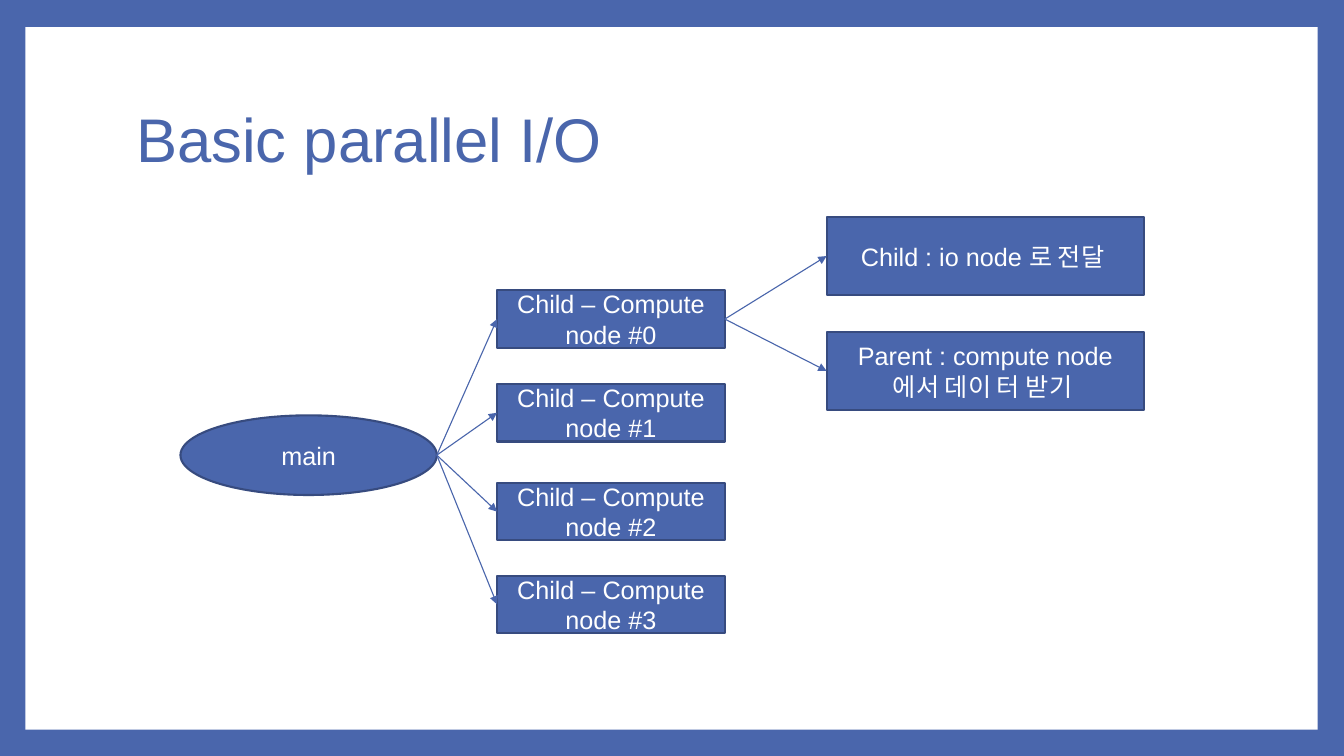
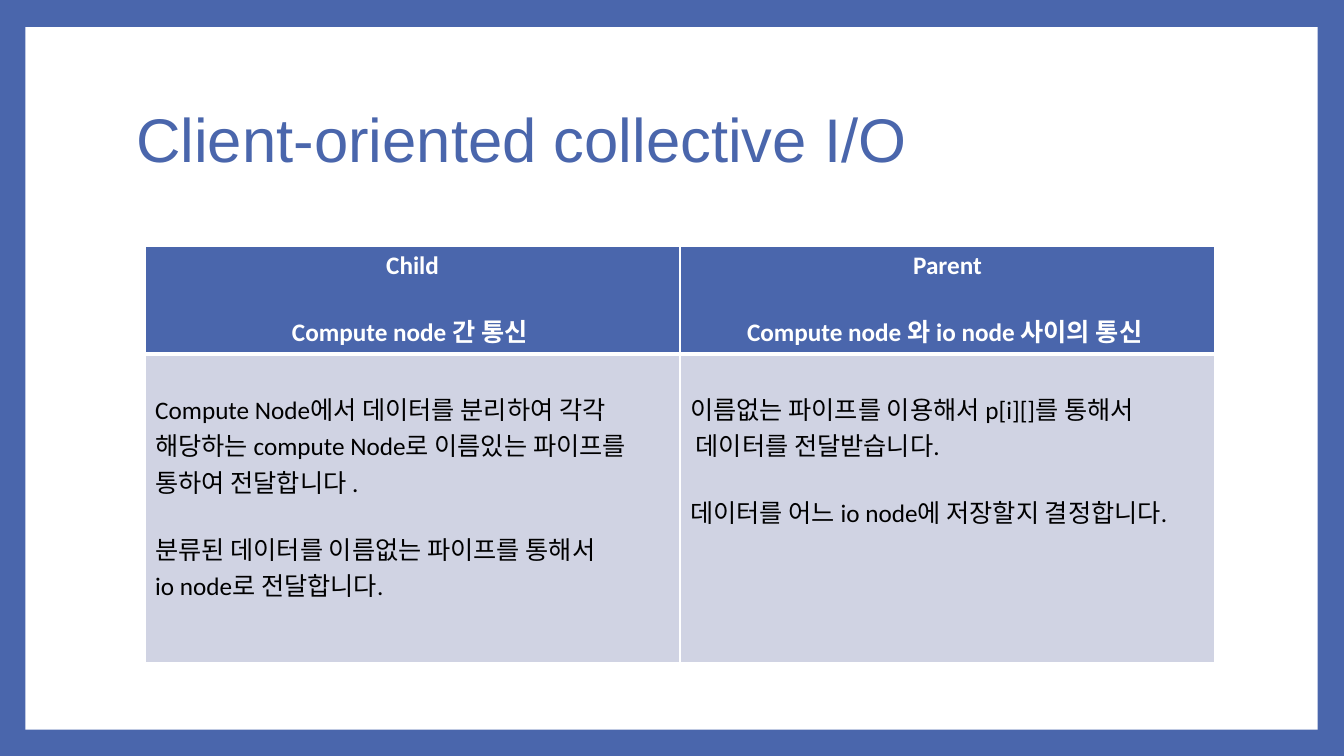
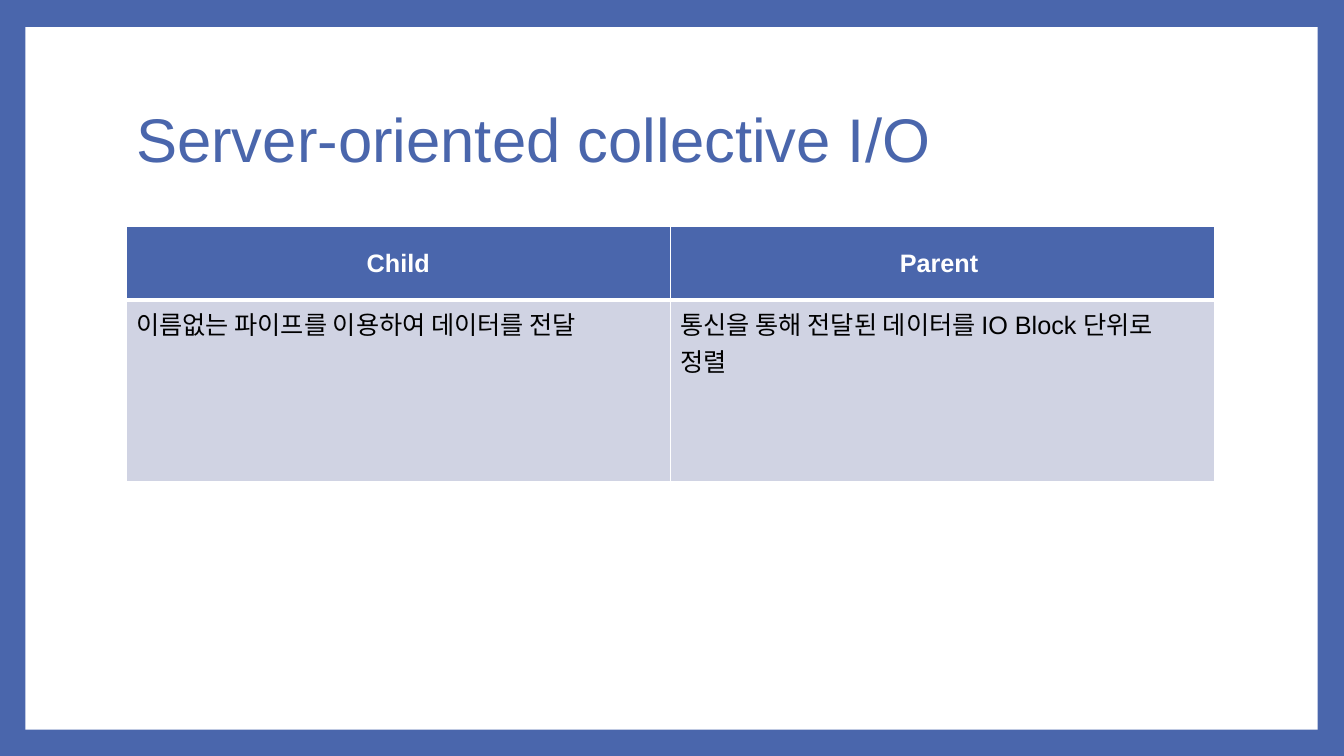
from dataclasses import dataclass

from lxml.etree import SubElement
from pptx import Presentation
from pptx.dml.color import RGBColor
from pptx.enum.shapes import MSO_CONNECTOR as Link, MSO_SHAPE as Shape
from pptx.enum.text import MSO_ANCHOR as Anchor, MSO_AUTO_SIZE as AutoSize, PP_ALIGN as Align
from pptx.oxml import parse_xml
from pptx.oxml.ns import nsdecls, qn
from pptx.util import Inches, Pt

BLUE = RGBColor(0x4A, 0x66, 0xAC)
NAVY = RGBColor(0x37, 0x4B, 0x7F)
PALE = RGBColor(0xD0, 0xD3, 0xE3)
WHITE = RGBColor(0xFF, 0xFF, 0xFF)
BLACK = RGBColor(0, 0, 0)

BLANK_LINE = Pt(22)
TITLE_FONT = dict(name="Arial", size=Pt(44), bold=False)
BODY_FONT = dict(name="Arial", size=Pt(18), bold=False)


@dataclass
class Box:
    left: int
    top: int
    width: int
    height: int

    def inner(self, x, y, w, h):
        """A box inside this one, given in percent of its size."""
        return Box(int(self.left + self.width * x / 100),
                   int(self.top + self.height * y / 100),
                   int(self.width * w / 100), int(self.height * h / 100))

    @property
    def bounds(self):
        return self.left, self.top, self.width, self.height

    @property
    def left_middle(self):
        return self.left, self.top + self.height // 2

    @property
    def right_middle(self):
        return self.left + self.width, self.top + self.height // 2


SLIDE = Box(0, 0, Inches(13.33), Inches(7.5))
PANEL = SLIDE.inner(1.88, 3.6, 96.15, 92.93)
TITLE = SLIDE.inner(9.38, 8.93, 81, 19.73)


def apply(target, values):
    for name, value in values.items():
        setattr(target, name, value)


def write(para, text, color, **changes):
    span = para.add_run()
    span.text = text
    apply(span.font, BODY_FONT | changes)
    span.font.color.rgb = color


def add_panel(page):
    panel = page.shapes.add_shape(Shape.RECTANGLE, *PANEL.bounds)
    panel.shadow.inherit = False
    panel.fill.solid()
    panel.fill.fore_color.rgb = WHITE
    panel.line.fill.background()
    page.shapes.element.insert(2, panel.element)  # behind the title


def add_page(deck, heading):
    page = deck.slides.add_slide(deck.slide_layouts[5])
    add_panel(page)
    title = page.shapes.title
    apply(title, dict(zip(("left", "top", "width", "height"), TITLE.bounds)))
    apply(title.text_frame, dict(vertical_anchor=Anchor.MIDDLE, word_wrap=True,
                                 auto_size=AutoSize.NONE))
    para = title.text_frame.paragraphs[0]
    apply(para, dict(alignment=Align.LEFT, line_spacing=0.9))
    write(para, heading, BLUE, **TITLE_FONT)
    return page


# Process diagram
def add_node(page, box, text, kind=Shape.RECTANGLE):
    node = page.shapes.add_shape(kind, *box.bounds)
    node.shadow.inherit = False
    node.fill.solid()
    node.fill.fore_color.rgb = BLUE
    node.line.color.rgb = NAVY
    node.line.width = Pt(1.5)
    apply(node.text_frame, dict(word_wrap=True, vertical_anchor=Anchor.MIDDLE))
    para = node.text_frame.paragraphs[0]
    para.alignment = Align.CENTER
    write(para, text, WHITE)


def add_arrow(page, source, target):
    arrow = page.shapes.add_connector(Link.STRAIGHT, *source.right_middle,
                                      *target.left_middle)
    arrow.line.color.rgb = BLUE
    arrow.line.width = Pt(0.79)
    outline = arrow.element.spPr.find(qn("a:ln"))
    SubElement(outline, qn("a:tailEnd"), type="triangle")
    SubElement(arrow.element.spPr, qn("a:effectLst"))


def add_diagram(page, box):
    main_box = box.inner(0, 47.7, 26.6, 19.13)
    compute_boxes = [box.inner(32.85, y, 23.64, 13.8)
                     for y in (17.68, 40.19, 63.92, 86.2)]
    role_boxes = [box.inner(67.05, y, 32.95, 18.89) for y in (0, 27.6)]
    roles = ("Child : io node 로 전달 ",
             "Parent : compute node에서 데이 터 받기 ")

    add_node(page, main_box, "main", Shape.OVAL)
    for number, compute_box in enumerate(compute_boxes):
        add_node(page, compute_box, f"Child – Compute node #{number}")
        add_arrow(page, main_box, compute_box)
    for role_box, role in zip(role_boxes, roles):
        add_node(page, role_box, role)
        add_arrow(page, compute_boxes[0], role_box)


# Two-row comparison table
def set_borders(cell, top, bottom):
    widths = dict(lnL=1, lnR=1, lnT=top, lnB=bottom)
    for index, (side, width) in enumerate(widths.items()):
        cell._tc.get_or_add_tcPr().insert(index, parse_xml(
            f'<a:{side} {nsdecls("a")} w="{Pt(width)}"><a:solidFill>'
            f'<a:srgbClr val="{WHITE}"/></a:solidFill></a:{side}>'))


def fill_cell(cell, blocks, fill, color, alignment, **font):
    """Write blocks of paragraphs, one blank line apart."""
    cell.fill.solid()
    cell.fill.fore_color.rgb = fill
    para = cell.text_frame.paragraphs[0]
    for block_number, block in enumerate(blocks):
        for line_number, text in enumerate(block):
            if block_number or line_number:
                para = cell.text_frame.add_paragraph()
            para.alignment = alignment
            if block_number and not line_number:
                para.space_before = BLANK_LINE
            write(para, text, color, **font)


def add_comparison(page, box, header_share, headers, bodies, font="Arial",
                   header_anchor=Anchor.MIDDLE, body_inset=Inches(0.05)):
    table = page.shapes.add_table(2, len(headers), *box.bounds).table
    table.horz_banding = False
    table.rows[0].height = int(box.height * header_share / 100)
    table.rows[1].height = box.height - table.rows[0].height
    for column, (header, body) in enumerate(zip(headers, bodies)):
        top, bottom = table.cell(0, column), table.cell(1, column)
        fill_cell(top, header, BLUE, WHITE, Align.CENTER, name=font, bold=True)
        fill_cell(bottom, body, PALE, BLACK, Align.LEFT, name=font)
        top.vertical_anchor = header_anchor
        bottom.margin_top = body_inset
        set_borders(top, 1, 3)
        set_borders(bottom, 3, 1)


def main():
    deck = Presentation()
    deck.slide_width, deck.slide_height = SLIDE.width, SLIDE.height
    backdrop = deck.slide_master.background.fill
    backdrop.solid()
    backdrop.fore_color.rgb = BLUE

    page = add_page(deck, "Basic parallel I/O")
    add_diagram(page, SLIDE.inner(13.43, 28.67, 71.7, 55.07))

    page = add_page(deck, "Client-oriented collective I/O")
    add_comparison(
        page, SLIDE.inner(10.8, 32.53, 79.6, 54.93), 25.7,
        headers=[[["Child"], ["Compute node 간 통신 "]],
                 [["Parent"], ["Compute node 와 io node 사이의 통신 "]]],
        bodies=[[["Compute Node에서 데이터를 분리하여 각각",
                  "해당하는 compute Node로 이름있는 파이프를 통하여 전달합니다 ."],
                 ["분류된 데이터를 이름없는 파이프를 통해서",
                  "io node로 전달합니다."]],
                [["이름없는 파이프를 이용해서 p[i][]를 통해서",
                  " 데이터를 전달받습니다."],
                 ["데이터를 어느 io node에 저장할지 결정합니다."]]],
        font="Calibri", header_anchor=Anchor.TOP,
        body_inset=Inches(0.05) + BLANK_LINE)

    page = add_page(deck, "Server-oriented collective I/O")
    add_comparison(
        page, SLIDE.inner(9.38, 30, 81, 33.73), 28.85,
        headers=[[["Child"]], [["Parent "]]],
        bodies=[[["이름없는 파이프를 이용하여 데이터를 전달"]],
                [["통신을 통해 전달된 데이터를 IO Block 단위로 정렬"]]])

    deck.save("out.pptx")


if __name__ == "__main__":
    main()
